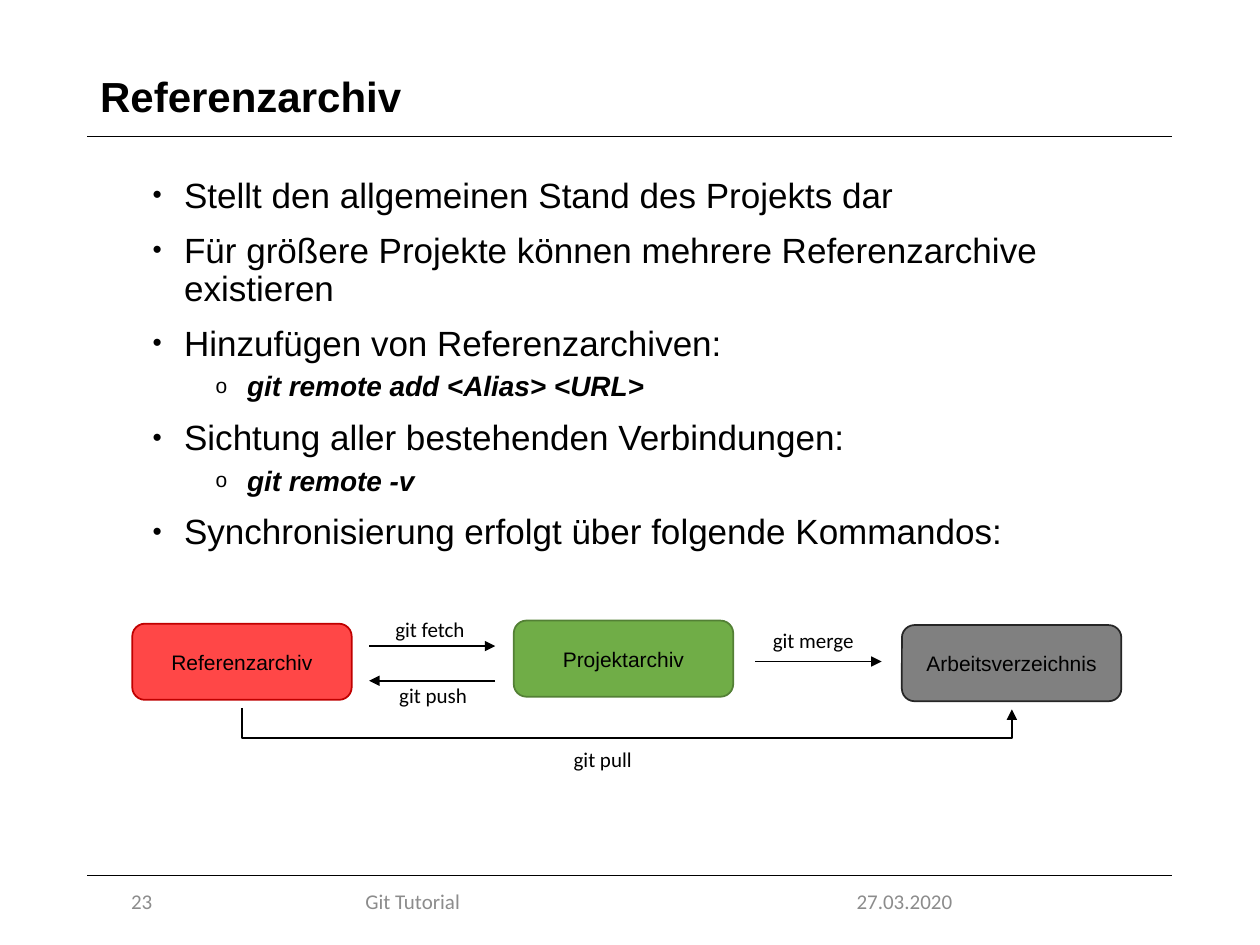
from lxml.etree import SubElement
from pptx import Presentation
from pptx.dml.color import RGBColor
from pptx.enum.shapes import MSO_CONNECTOR, MSO_SHAPE
from pptx.enum.text import MSO_ANCHOR, MSO_AUTO_SIZE, PP_ALIGN
from pptx.oxml.ns import qn
from pptx.util import Pt


def rgb(value):
    return RGBColor.from_string(value)


def write(sp, text, font, color="000000", align=PP_ALIGN.CENTER, anchor=MSO_ANCHOR.MIDDLE):
    tf = sp.text_frame
    tf.word_wrap = True
    tf.vertical_anchor = anchor
    p = tf.paragraphs[0]
    p.alignment = align
    r = p.add_run()
    r.text = text
    for name, value in {"name": font, "size": Pt(12)}.items():
        setattr(r.font, name, value)
    r.font.color.rgb = rgb(color)


prs = Presentation()
prs.slide_width, prs.slide_height = Pt(720), Pt(540)
s = prs.slides.add_slide(prs.slide_layouts[1])
title, body = s.shapes.title, s.placeholders[1]

frames = [(title, 50, 29, 620, 54.5), (body, 80, 98, 564.5, 388)]
for sp, *box in frames:
    for name, value in zip(("left", "top", "width", "height"), box):
        setattr(sp, name, Pt(value))
    sp.text_frame.auto_size = MSO_AUTO_SIZE.NONE

title.text_frame.vertical_anchor = MSO_ANCHOR.MIDDLE
p = title.text_frame.paragraphs[0]
p.alignment = PP_ALIGN.LEFT
p.line_spacing = 0.9
r = p.add_run()
r.text = "Referenzarchiv"
for name, value in {"name": "Arial", "size": Pt(24), "bold": True}.items():
    setattr(r.font, name, value)
r.font.color.rgb = rgb("000000")

levels = [
    {"size": Pt(20), "bold": False, "italic": False},
    {"size": Pt(16), "bold": True, "italic": True},
]
items = [
    (0, "Stellt den allgemeinen Stand des Projekts dar"),
    (0, "Für größere Projekte können mehrere Referenzarchive existieren"),
    (0, "Hinzufügen von Referenzarchiven:"),
    (1, "git remote add <Alias> <URL>"),
    (0, "Sichtung aller bestehenden Verbindungen:"),
    (1, "git remote -v"),
    (0, "Synchronisierung erfolgt über folgende Kommandos:"),
]
tf = body.text_frame
for i, (level, text) in enumerate(items):
    p = tf.add_paragraph() if i else tf.paragraphs[0]
    p.level = level
    p.line_spacing = 0.9
    p.space_before = Pt((10, 5)[level])
    pPr = p._p.get_or_add_pPr()
    pPr.set("marL", str(Pt((18, 54)[level])))
    pPr.set("indent", str(Pt(-18)))
    SubElement(pPr, qn("a:buSzPct"), val="75000")
    SubElement(pPr, qn("a:buFont"), typeface="Arial")
    SubElement(pPr, qn("a:buChar"), char="•o"[level])
    r = p.add_run()
    r.text = text
    r.font.name = "Arial"
    r.font.color.rgb = rgb("000000")
    for name, value in levels[level].items():
        setattr(r.font, name, value)

boxes = [
    ("Referenzarchiv", 75.6, 356.4, "FF4747", "C00000"),
    ("Projektarchiv", 293.6, 354.6, "70AD47", "538035"),
    ("Arbeitsverzeichnis", 515.4, 357.2, "808080", "262626"),
]
for text, x, y, fill, line in boxes:
    sp = s.shapes.add_shape(MSO_SHAPE.ROUNDED_RECTANGLE, Pt(x), Pt(y), Pt(125.4), Pt(43.5))
    sp.shadow.inherit = False
    sp.fill.solid()
    sp.fill.fore_color.rgb = rgb(fill)
    sp.line.color.rgb = rgb(line)
    sp.line.width = Pt(1)
    write(sp, text, "Arial")

commands = [
    ("git fetch", 191, 348.7),
    ("git push", 192.8, 386.6),
    ("git merge", 410, 355),
    ("git pull", 289.7, 422.9),
]
for text, x, y in commands:
    sp = s.shapes.add_textbox(Pt(x), Pt(y), Pt(109.4), Pt(21.8))
    write(sp, text, "Calibri", anchor=MSO_ANCHOR.TOP)

footers = [
    ("23", 0, 162, PP_ALIGN.CENTER),
    ("Git Tutorial", 90, 291.6, PP_ALIGN.CENTER),
    ("27.03.2020", 482.4, 162, PP_ALIGN.LEFT),
]
for text, x, w, align in footers:
    sp = s.shapes.add_textbox(Pt(x), Pt(500.4), Pt(w), Pt(28.8))
    write(sp, text, "Calibri", "8C8C8C", align)

lines = [
    ("rule", 50, 78.2, 670, 78.2),
    ("rule", 50, 500.4, 670, 500.4),
    ("arrow", 211, 369.2, 283, 369.2),
    ("arrow", 283, 389, 211, 389),
    ("arrow", 431.5, 378, 503.8, 378),
    ("elbow", 358.6, 185, 357.8, 625),
]
for kind, *ends in lines:
    form = MSO_CONNECTOR.ELBOW if kind == "elbow" else MSO_CONNECTOR.STRAIGHT
    sp = s.shapes.add_connector(form, *map(Pt, ends))
    sp.line.color.rgb = rgb("000000")
    sp.line.width = Pt(0.5 if kind == "rule" else 1)
    spPr = sp._element.spPr
    if kind != "rule":
        SubElement(spPr.find(qn("a:ln")), qn("a:tailEnd"), type="triangle")
    if kind == "elbow":
        spPr.find(qn("a:xfrm")).set("rot", "16200000")
        geom = spPr.find(qn("a:prstGeom"))
        SubElement(geom.find(qn("a:avLst")), qn("a:gd"), name="adj1", fmla="val 2160000")
    SubElement(spPr, qn("a:effectLst"))

prs.save("out.pptx")
